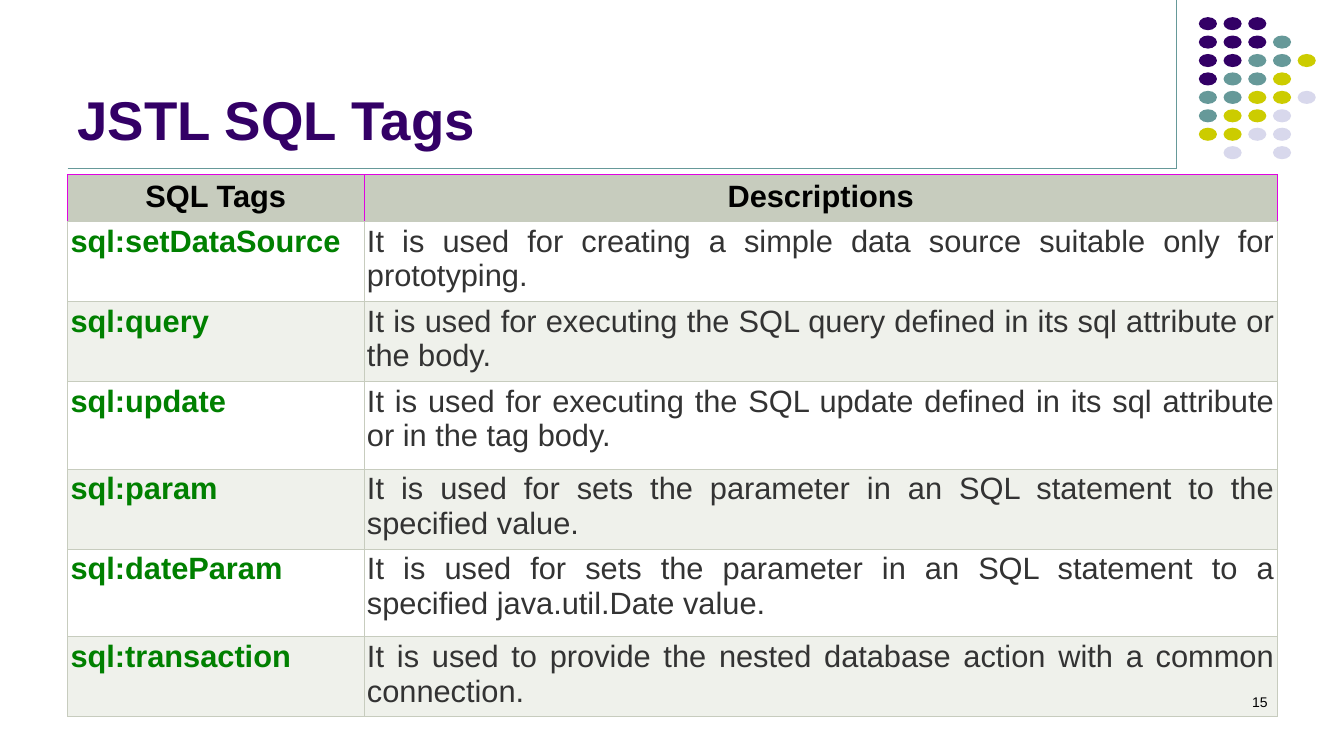
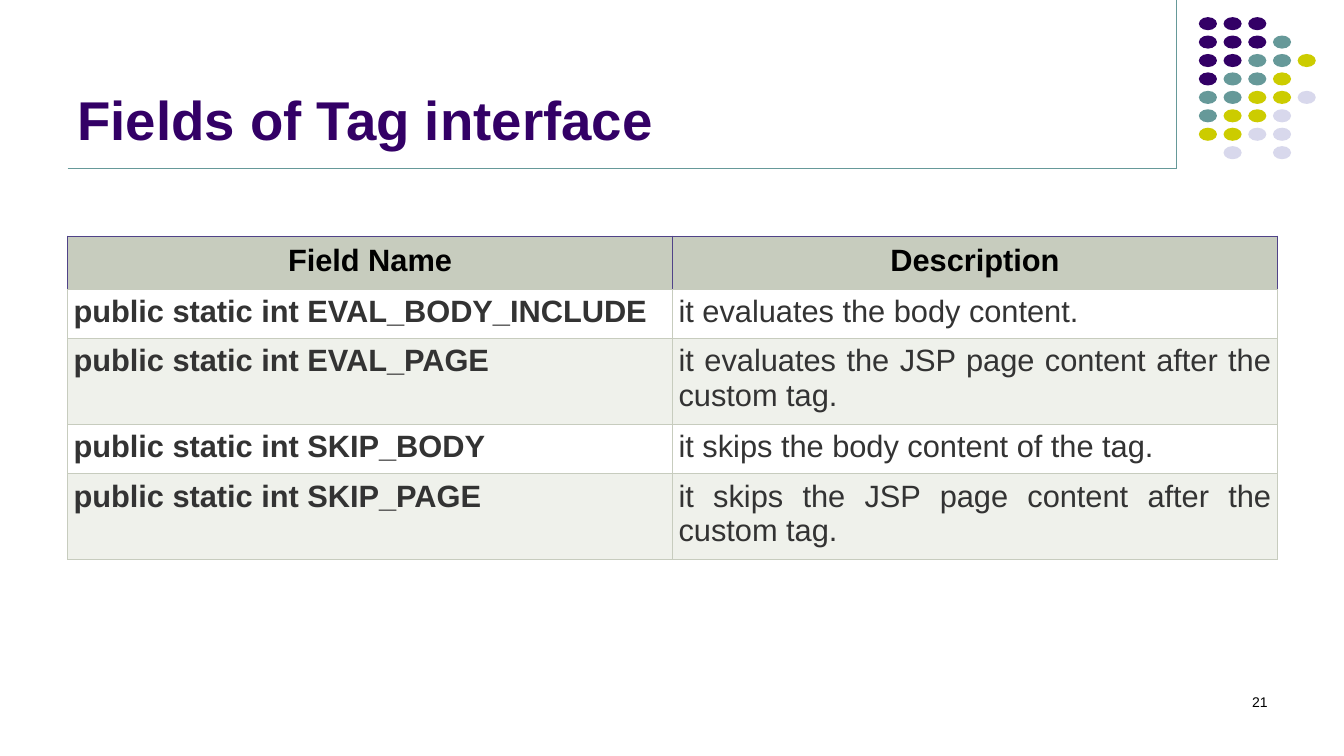
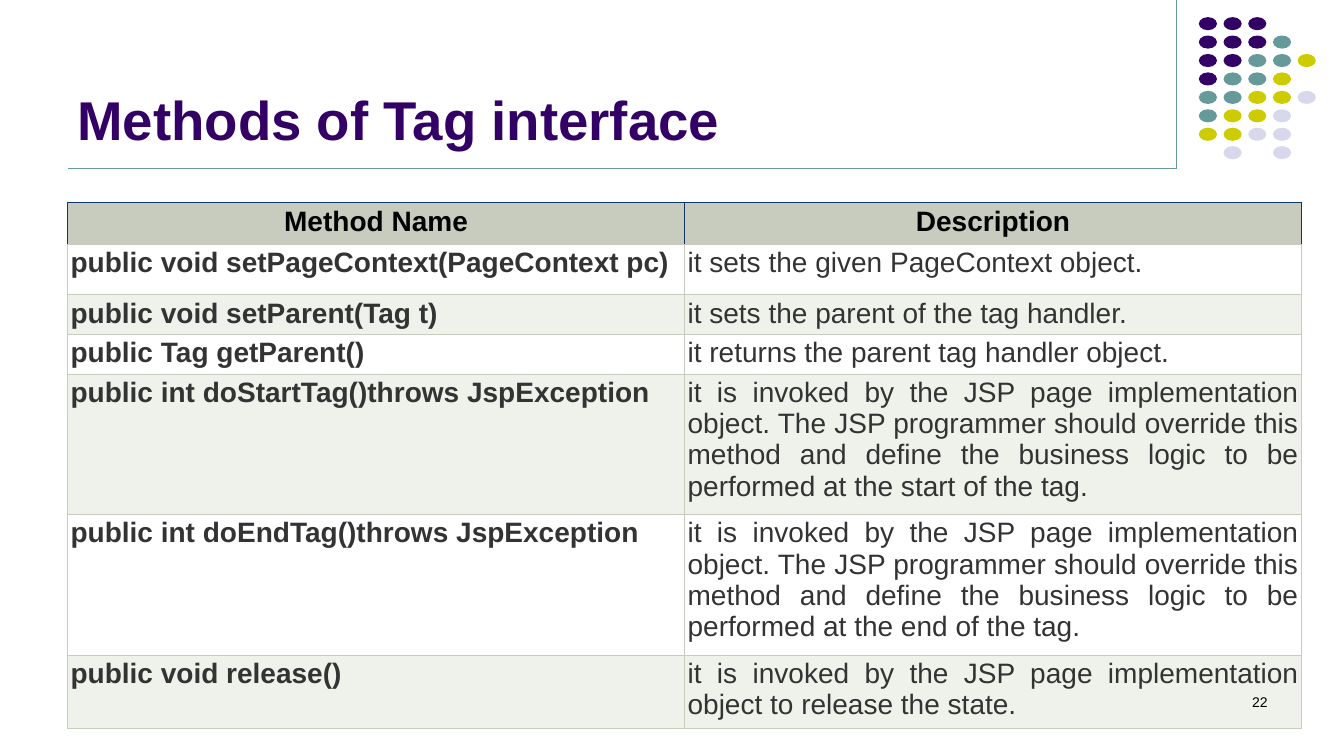
from dataclasses import dataclass

from lxml import etree
from pptx import Presentation
from pptx import util as u
from pptx.dml.color import RGBColor
from pptx.enum import shapes, text
from pptx.oxml import ns


@dataclass(frozen=True)
class Theme:
    font: str = "Arial"
    purple: str = "330066"
    teal: str = "669999"
    yellow: str = "CCCC00"
    lavender: str = "D8D8EC"
    black: str = "000000"
    body: str = "333333"
    green: str = "008000"
    header_fill: str = "C7CCBE"
    white: str = "FFFFFF"
    band_fill: str = "EFF1EB"
    title_size: float = 39
    number_size: float = 10
    rule_width: float = 0.75
    border_width: float = 0.5


LEFT = 0.67
RULE_X, RULE_Y = 11.67, 1.67

# One letter per dot: purple, teal, yellow, lavender
DOT_ROWS = ["PPP", "PPPT", "PPTTY", "PTTY", "TTYYL", "TYYL", "YYLL", " L L"]
DOT_LEFT, DOT_TOP = 11.89, 0.17
DOT_WIDTH, DOT_HEIGHT = 0.18, 0.13
DOT_STEP_X, DOT_STEP_Y = 0.98 / 4, 1.28 / 7


def inches(*lengths):
    return [u.Inches(length) for length in lengths]


class Slides:
    def __init__(self, theme):
        self.theme = theme
        self.deck = Presentation()
        self.deck.slide_width, self.deck.slide_height = inches(13.33, 7.5)
        self.page = None

    def new_page(self, title, number, table):
        self.page = self.deck.slides.add_slide(self.deck.slide_layouts[6])
        self.rule(RULE_X, 0, RULE_X, RULE_Y)
        self.dots()
        self.rule(LEFT, RULE_Y, RULE_X, RULE_Y)
        theme = self.theme
        self.text_box((LEFT, 0.13, 11, 1.42), title, text.MSO_ANCHOR.BOTTOM,
                      size=theme.title_size, color=theme.purple, bold=True)
        self.table(**table)
        self.text_box((9.56, 6.83, 3.11, 0.5), number, text.MSO_ANCHOR.TOP,
                      align=text.PP_ALIGN.RIGHT, size=theme.number_size, color=theme.black)

    def rule(self, x1, y1, x2, y2):
        line = self.page.shapes.add_connector(shapes.MSO_CONNECTOR.STRAIGHT, *inches(x1, y1, x2, y2))
        line.line.color.rgb = RGBColor.from_string(self.theme.teal)
        line.line.width = u.Pt(self.theme.rule_width)
        etree.SubElement(line._element.spPr, ns.qn("a:effectLst"))

    def dots(self):
        theme = self.theme
        colors = {"P": theme.purple, "T": theme.teal, "Y": theme.yellow, "L": theme.lavender}
        group = self.page.shapes.add_group_shape()
        for row, letters in enumerate(DOT_ROWS):
            for column, letter in enumerate(letters):
                if letter not in colors:
                    continue
                dot = group.shapes.add_shape(
                    shapes.MSO_SHAPE.OVAL,
                    *inches(DOT_LEFT + column * DOT_STEP_X, DOT_TOP + row * DOT_STEP_Y,
                            DOT_WIDTH, DOT_HEIGHT))
                dot.shadow.inherit = False
                dot.fill.solid()
                dot.fill.fore_color.rgb = RGBColor.from_string(colors[letter])
                dot.line.fill.background()

    def set_text(self, frame, words, size, color, bold=False, align=text.PP_ALIGN.LEFT):
        para = frame.paragraphs[0]
        para.alignment = align
        span = para.add_run()
        span.text = words
        formats = {"name": self.theme.font, "size": u.Pt(size), "bold": bold}
        for name, value in formats.items():
            setattr(span.font, name, value)
        span.font.color.rgb = RGBColor.from_string(color)

    def text_box(self, place, words, anchor, **style):
        box = self.page.shapes.add_textbox(*inches(*place))
        box.text_frame.word_wrap = True
        box.text_frame.vertical_anchor = anchor
        self.set_text(box.text_frame, words, **style)

    def table(self, top, widths, heights, rows, size, header_margin, margin, accent, name_color):
        """Draw a two-column table whose first row is the header."""
        theme = self.theme
        grid = self.page.shapes.add_table(
            len(rows), len(widths), *inches(LEFT, top, sum(widths), sum(heights))).table
        grid.first_row = grid.horz_banding = False
        for column, width in zip(grid.columns, widths):
            column.width = u.Inches(width)
        for index, (row, height, words) in enumerate(zip(grid.rows, heights, rows)):
            row.height = u.Inches(height)
            header = index == 0
            fill = theme.header_fill if header else (theme.band_fill, theme.white)[index % 2]
            for column, (cell, entry) in enumerate(zip(row.cells, words)):
                self.cell_box(cell, fill, header_margin if header else margin,
                              accent if header else theme.header_fill)
                name = column == 0
                self.set_text(cell.text_frame, entry, size,
                              theme.black if header else name_color if name else theme.body,
                              bold=header or name,
                              align=text.PP_ALIGN.CENTER if header else text.PP_ALIGN.JUSTIFY)

    def cell_box(self, cell, fill, margin, edge):
        """Set fill, margins and borders; the bottom border is always the plain one."""
        for side in ("left", "right", "top", "bottom"):
            setattr(cell, f"margin_{side}", u.Inches(margin))
        cell.fill.solid()
        cell.fill.fore_color.rgb = RGBColor.from_string(fill)
        properties = cell._tc.get_or_add_tcPr()
        borders = {"lnL": edge, "lnR": edge, "lnT": edge, "lnB": self.theme.header_fill}
        for position, (tag, color) in enumerate(borders.items()):
            line = etree.Element(ns.qn(f"a:{tag}"), w=str(u.Pt(self.theme.border_width)))
            solid = etree.SubElement(line, ns.qn("a:solidFill"))
            etree.SubElement(solid, ns.qn("a:srgbClr"), val=color)
            properties.insert(position, line)


def tag_call(moment):
    return ("it is invoked by the JSP page implementation object. The JSP programmer should "
            "override this method and define the business logic to be performed at the "
            f"{moment} of the tag.")


def main():
    theme = Theme()
    slides = Slides(theme)

    slides.new_page("JSTL SQL Tags", "15", dict(
        top=1.73, widths=[2.94, 9.06], heights=[0.44, 0.74, 0.74, 0.87, 0.74, 0.87, 0.74],
        size=22, header_margin=0.05, margin=0.03, accent="E003E2", name_color=theme.green,
        rows=[
            ("SQL Tags", "Descriptions"),
            ("sql:setDataSource",
             "It is used for creating a simple data source suitable only for prototyping."),
            ("sql:query",
             "It is used for executing the SQL query defined in its sql attribute or the body."),
            ("sql:update",
             "It is used for executing the SQL update defined in its sql attribute or in the tag body."),
            ("sql:param",
             "It is used for sets the parameter in an SQL statement to the specified value."),
            ("sql:dateParam",
             "It is used for sets the parameter in an SQL statement to a specified java.util.Date value."),
            ("sql:transaction",
             "It is used to provide the nested database action with a common connection."),
        ]))

    slides.new_page("Fields of Tag interface", "21", dict(
        top=2.34, widths=[6, 6], heights=[0.51, 0.45, 0.79, 0.45, 0.79],
        size=22, header_margin=0.08, margin=0.06, accent="504388", name_color=theme.body,
        rows=[
            ("Field Name", "Description"),
            ("public static int EVAL_BODY_INCLUDE", "it evaluates the body content."),
            ("public static int EVAL_PAGE", "it evaluates the JSP page content after the custom tag."),
            ("public static int SKIP_BODY", "it skips the body content of the tag."),
            ("public static int SKIP_PAGE", "it skips the JSP page content after the custom tag."),
        ]))

    slides.new_page("Methods of Tag interface", "22", dict(
        top=2.01, widths=[6.12, 6.12], heights=[0.39, 0.5, 0.37, 0.37, 1.38, 1.38, 0.67],
        size=20, header_margin=0.04, margin=0.03, accent="103668", name_color=theme.body,
        rows=[
            ("Method Name", "Description"),
            ("public void setPageContext(PageContext pc)", "it sets the given PageContext object."),
            ("public void setParent(Tag t)", "it sets the parent of the tag handler."),
            ("public Tag getParent()", "it returns the parent tag handler object."),
            ("public int doStartTag()throws JspException", tag_call("start")),
            ("public int doEndTag()throws JspException", tag_call("end")),
            ("public void release()",
             "it is invoked by the JSP page implementation object to release the state."),
        ]))

    slides.deck.save("out.pptx")


if __name__ == "__main__":
    main()
